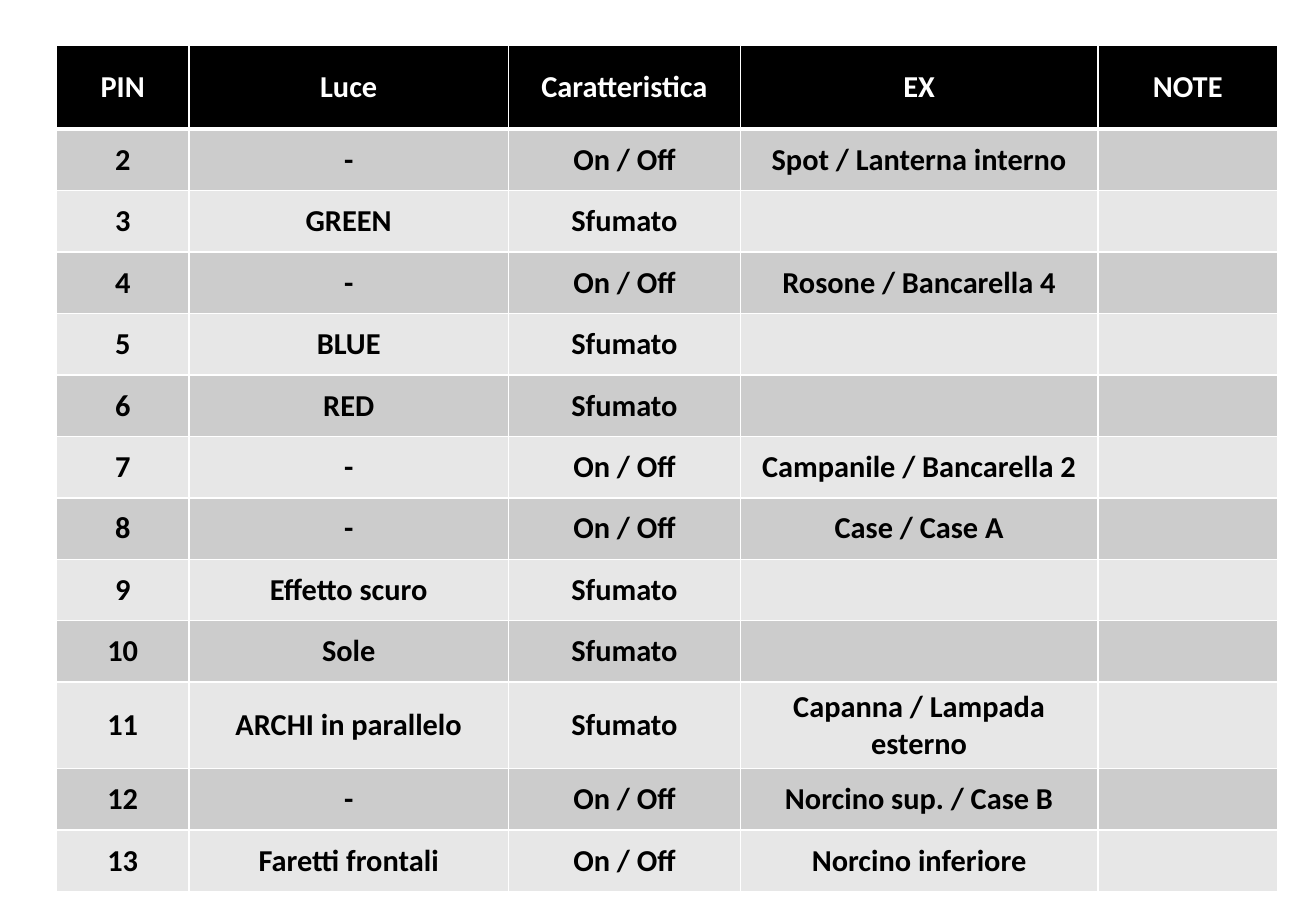
from lxml import etree
from pptx import Presentation
from pptx.dml.color import RGBColor
from pptx.enum.text import MSO_ANCHOR, PP_ALIGN
from pptx.oxml.ns import qn
from pptx.util import Cm, Pt

MIDDLE = MSO_ANCHOR.MIDDLE
CENTER = PP_ALIGN.CENTER
BLACK, WHITE = "000000", "FFFFFF"
BANDS = ("E7E7E7", "CCCCCC")
FONT, FONT_SIZE = "Calibri", 18
THIN, THICK = 1, 3
HEADER_HEIGHT = 1.75
COLUMN_WIDTHS = (2.77, 6.68, 4.85, 7.47, 3.76)
ON_OFF, FADED = "On / Off", "Sfumato"

HEADINGS = ("PIN", "Luce", "Caratteristica", "EX", "NOTE")
PINS = (
    ("2", "-", ON_OFF, "Spot / Lanterna interno", ""),
    ("3", "GREEN", FADED, "", ""),
    ("4", "-", ON_OFF, "Rosone / Bancarella 4", ""),
    ("5", "BLUE", FADED, "", ""),
    ("6", "RED", FADED, "", ""),
    ("7", "-", ON_OFF, "Campanile / Bancarella 2", ""),
    ("8", "-", ON_OFF, "Case / Case A", ""),
    ("9", "Effetto scuro", FADED, "", ""),
    ("10", "Sole", FADED, "", ""),
    ("11", "ARCHI in parallelo", FADED, "Capanna / Lampada esterno", ""),
    ("12", "-", ON_OFF, "Norcino sup. / Case B", ""),
    ("13", "Faretti frontali", ON_OFF, "Norcino inferiore", ""),
)


def color(hex_value):
    """Turn a hex string into a colour."""
    return RGBColor.from_string(hex_value)


def set_borders(cell, top, bottom):
    """Draw white borders round a cell, with the given top and bottom widths."""
    properties = cell._tc.get_or_add_tcPr()
    for side, width in (("L", THIN), ("R", THIN), ("T", top), ("B", bottom)):
        line = etree.SubElement(properties, qn(f"a:ln{side}"), w=str(Pt(width)))
        fill = etree.SubElement(line, qn("a:solidFill"))
        etree.SubElement(fill, qn("a:srgbClr"), val=WHITE)


def fill_cell(cell, wording, background, ink):
    """Colour a cell and set its centred bold wording."""
    cell.fill.solid()
    cell.fill.fore_color.rgb = color(background)
    cell.vertical_anchor = MIDDLE
    cell.text_frame.text = wording
    paragraph = cell.text_frame.paragraphs[0]
    paragraph.alignment = CENTER
    font = paragraph.font
    for run in paragraph.runs:
        font = run.font
    font.name = FONT
    font.size = Pt(FONT_SIZE)
    font.bold = True
    font.color.rgb = color(ink)


def add_pin_table(slide, left, top, width, height):
    """Place the table of pins and lights in the given box."""
    entries = (HEADINGS, *PINS)
    pins = slide.shapes.add_table(len(entries), len(HEADINGS), Cm(left), Cm(top),
                                  Cm(width), Cm(height)).table
    for column, share in zip(pins.columns, COLUMN_WIDTHS):
        column.width = Cm(width * share / sum(COLUMN_WIDTHS))
    pin_height = (height - HEADER_HEIGHT) / len(PINS)
    for row, entry in enumerate(entries):
        is_header = row == 0
        pins.rows[row].height = Cm(HEADER_HEIGHT if is_header else pin_height)
        background = BLACK if is_header else BANDS[row % 2]
        for column, wording in enumerate(entry):
            cell = pins.cell(row, column)
            set_borders(cell, THICK if row == 1 else THIN, THICK if is_header else THIN)
            fill_cell(cell, wording, background, WHITE if is_header else BLACK)


def main():
    """Build the slide and save it."""
    deck = Presentation()
    deck.slide_width, deck.slide_height = Cm(27.51), Cm(19.05)
    slide = deck.slides.add_slide(deck.slide_layouts[6])
    add_pin_table(slide, 1.18, 0.95, 25.53, 17.17)
    deck.save("out.pptx")


main()
